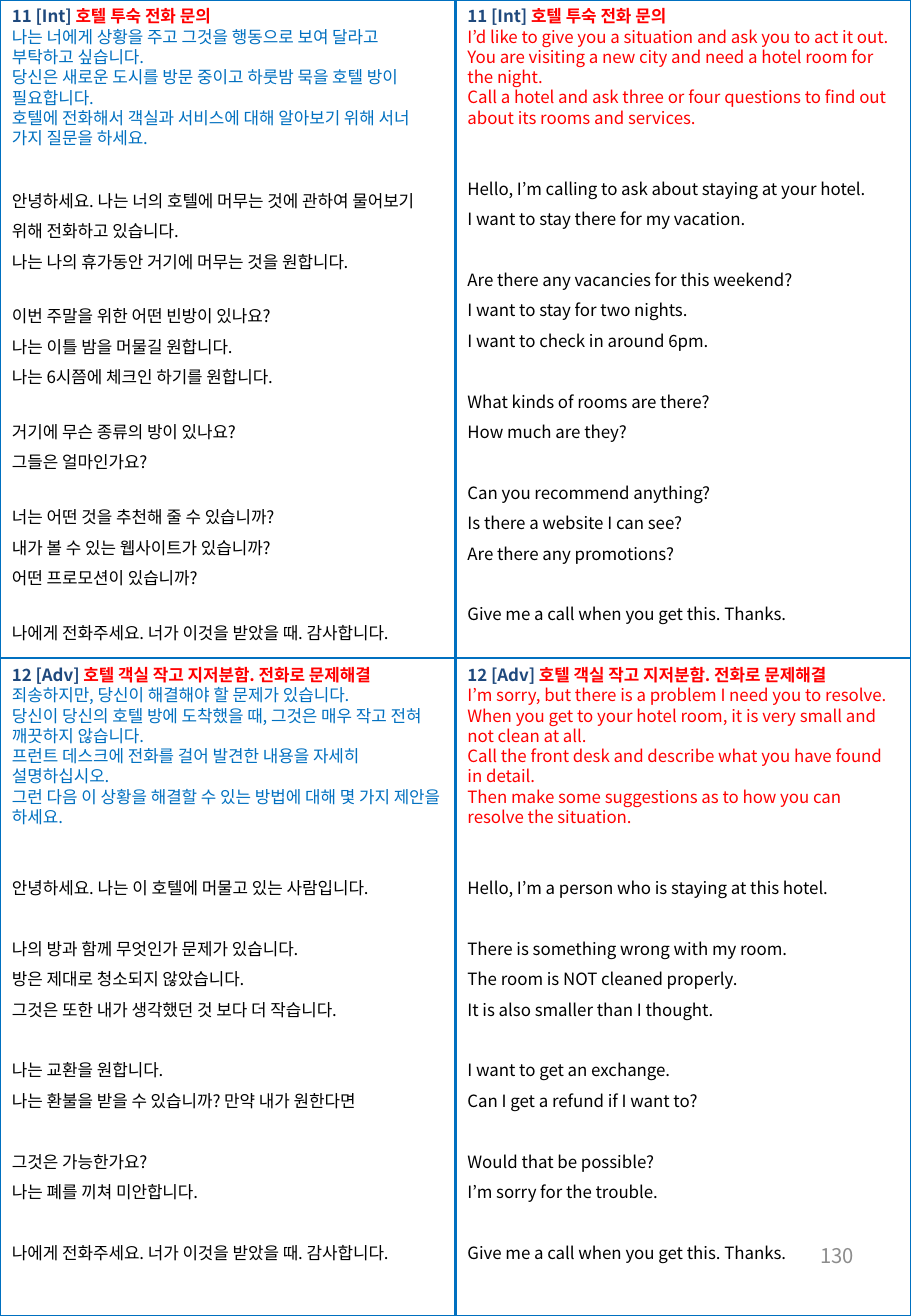
from lxml import etree
from pptx import Presentation
from pptx import util as u
from pptx.dml.color import RGBColor
from pptx.enum import shapes, text
from pptx.oxml.ns import qn

FONT = "Noto Sans CJK KR"
COLORS = {"blue": "0070C0", "navy": "1F497D", "red": "FF0000", "black": "000000", "gray": "8C8C8C"}
WIDTH, HEIGHT = 7.5, 10.83
MIDDLE_X, MIDDLE_Y = 3.75, 5.42
TEXT_SIZE = 10
LINE_HEIGHT = 1.2  # single line height relative to the text size
ANSWER_SPACING = 1.5

HEADINGS = [
    ("11 [Int] ", "호텔 투숙 전화 문의"),
    ("12 [Adv] ", "호텔 객실 작고 지저분함. 전화로 문제해결"),
]
KOREAN_CLOSING = ["나에게 전화주세요. 너가 이것을 받았을 때. 감사합니다."]
ENGLISH_CLOSING = ["Give me a call when you get this. Thanks."]

HOTEL_INQUIRY_KOREAN = {
    "prompt": [
        "나는 너에게 상황을 주고 그것을 행동으로 보여 달라고 부탁하고 싶습니다.\n"
        "당신은 새로운 도시를 방문 중이고 하룻밤 묵을 호텔 방이 필요합니다.\n"
        "호텔에 전화해서 객실과 서비스에 대해 알아보기 위해 서너 가지 질문을 하세요.",
    ],
    "answer": [
        ["안녕하세요. 나는 너의 호텔에 머무는 것에 관하여 물어보기 위해 전화하고 있습니다.",
         "나는 나의 휴가동안 거기에 머무는 것을 원합니다."],
        ["이번 주말을 위한 어떤 빈방이 있나요?",
         "나는 이틀 밤을 머물길 원합니다.",
         "나는 6시쯤에 체크인 하기를 원합니다."],
        ["거기에 무슨 종류의 방이 있나요?", "그들은 얼마인가요?"],
        ["너는 어떤 것을 추천해 줄 수 있습니까?",
         "내가 볼 수 있는 웹사이트가 있습니까?",
         "어떤 프로모션이 있습니까?"],
        KOREAN_CLOSING,
    ],
}
HOTEL_INQUIRY_ENGLISH = {
    "prompt": [
        "I’d like to give you a situation and ask you to act it out.",
        "You are visiting a new city and need a hotel room for the night.",
        "Call a hotel and ask three or four questions to find out",
        "about its rooms and services.",
    ],
    "answer": [
        ["Hello, I’m calling to ask about staying at your hotel.",
         "I want to stay there for my vacation."],
        ["Are there any vacancies for this weekend?",
         "I want to stay for two nights.",
         "I want to check in around 6pm."],
        ["What kinds of rooms are there?", "How much are they?"],
        ["Can you recommend anything?",
         "Is there a website I can see?",
         "Are there any promotions?"],
        ENGLISH_CLOSING,
    ],
}
ROOM_PROBLEM_KOREAN = {
    "prompt": [
        "죄송하지만, 당신이 해결해야 할 문제가 있습니다.\n"
        "당신이 당신의 호텔 방에 도착했을 때, 그것은 매우 작고 전혀 깨끗하지 않습니다.\n"
        "프런트 데스크에 전화를 걸어 발견한 내용을 자세히 설명하십시오.\n"
        "그런 다음 이 상황을 해결할 수 있는 방법에 대해 몇 가지 제안을 하세요.",
    ],
    "answer": [
        ["안녕하세요. 나는 이 호텔에 머물고 있는 사람입니다."],
        ["나의 방과 함께 무엇인가 문제가 있습니다.",
         "방은 제대로 청소되지 않았습니다.",
         "그것은 또한 내가 생각했던 것 보다 더 작습니다."],
        ["나는 교환을 원합니다.", "나는 환불을 받을 수 있습니까? 만약 내가 원한다면"],
        ["그것은 가능한가요?", "나는 폐를 끼쳐 미안합니다."],
        KOREAN_CLOSING,
    ],
}
ROOM_PROBLEM_ENGLISH = {
    "prompt": [
        "I’m sorry, but there is a problem I need you to resolve.",
        "When you get to your hotel room, it is very small and not clean at all.",
        "Call the front desk and describe what you have found in detail.",
        "Then make some suggestions as to how you can resolve the situation.",
    ],
    "answer": [
        ["Hello, I’m a person who is staying at this hotel."],
        ["There is something wrong with my room.",
         "The room is NOT cleaned properly.",
         "It is also smaller than I thought."],
        ["I want to get an exchange.", "Can I get a refund if I want to?"],
        ["Would that be possible?", "I’m sorry for the trouble."],
        ENGLISH_CLOSING,
    ],
}


def add_text(paragraph, content, color="black", size=TEXT_SIZE, bold=False):
    """Add formatted text; each newline becomes a line break."""
    for index, line in enumerate(content.split("\n")):
        if index:
            paragraph.add_line_break()
            etree.SubElement(paragraph._p[-1], qn("a:rPr"), sz=str(size * 100))
        run = paragraph.add_run()
        run.text = line
        run.font.name = FONT
        run.font.size = u.Pt(size)
        run.font.bold = bold
        run.font.color.rgb = RGBColor.from_string(COLORS[color])
        etree.SubElement(run._r.get_or_add_rPr(), qn("a:ea"), typeface=FONT)


def add_box(slide, left, top, width, height):
    box = slide.shapes.add_textbox(*map(u.Inches, (left, top, width, height)))
    box.text_frame.word_wrap = True
    return box.text_frame


def style_line(line):
    line.color.rgb = RGBColor.from_string(COLORS["blue"])
    line.width = u.Pt(1.5)


def add_frame(slide):
    """Outline the page and divide it into four panels."""
    frame = slide.shapes.add_shape(
        shapes.MSO_SHAPE.RECTANGLE, 0, 0, u.Inches(WIDTH), u.Inches(HEIGHT))
    frame.shadow.inherit = False
    frame.fill.background()
    style_line(frame.line)
    for start, end in ((1, 3), (0, 2)):
        divider = slide.shapes.add_connector(shapes.MSO_CONNECTOR.STRAIGHT, 0, 0, 0, 0)
        divider.begin_connect(frame, start)
        divider.end_connect(frame, end)
        style_line(divider.line)
        etree.SubElement(divider._element.spPr, qn("a:effectLst"))


def add_panel(slide, left, top, height, heading, script, prompt_color, gap_size=TEXT_SIZE):
    """Place a heading, the task prompt and the groups of answer lines."""
    frame = add_box(slide, left, top, MIDDLE_X, height)
    frame.auto_size = text.MSO_AUTO_SIZE.SHAPE_TO_FIT_TEXT
    number, title = heading
    add_text(frame.paragraphs[0], number, color="navy", bold=True)
    add_text(frame.paragraphs[0], title, color="red", bold=True)
    for line in script["prompt"]:
        add_text(frame.add_paragraph(), line, color=prompt_color)
    for group_index, group in enumerate(script["answer"]):
        gap_lines = ANSWER_SPACING if group_index else 2
        for line_index, line in enumerate(group):
            paragraph = frame.add_paragraph()
            paragraph.line_spacing = ANSWER_SPACING
            if line_index == 0:
                paragraph.space_before = u.Pt(gap_size * LINE_HEIGHT * gap_lines)
            add_text(paragraph, line)


def add_page_number(slide, left, top):
    frame = add_box(slide, left, top, 1.75, 0.58)
    frame.vertical_anchor = text.MSO_ANCHOR.MIDDLE
    frame.paragraphs[0].alignment = text.PP_ALIGN.RIGHT
    add_text(frame.paragraphs[0], "130", color="gray", size=12)


def main():
    presentation = Presentation()
    presentation.slide_width = u.Inches(WIDTH)
    presentation.slide_height = u.Inches(HEIGHT)
    slide = presentation.slides.add_slide(presentation.slide_layouts[6])
    inquiry, problem = HEADINGS
    add_frame(slide)
    add_page_number(slide, 5.38, 10.04)
    add_panel(slide, 0, 0, 5.35, inquiry, HOTEL_INQUIRY_KOREAN, "blue", gap_size=8)
    add_panel(slide, MIDDLE_X, 0, 5.2, inquiry, HOTEL_INQUIRY_ENGLISH, "red")
    add_panel(slide, 0, MIDDLE_Y, 5.03, problem, ROOM_PROBLEM_KOREAN, "blue")
    add_panel(slide, MIDDLE_X, MIDDLE_Y, 5.03, problem, ROOM_PROBLEM_ENGLISH, "red")
    presentation.save("out.pptx")


if __name__ == "__main__":
    main()
